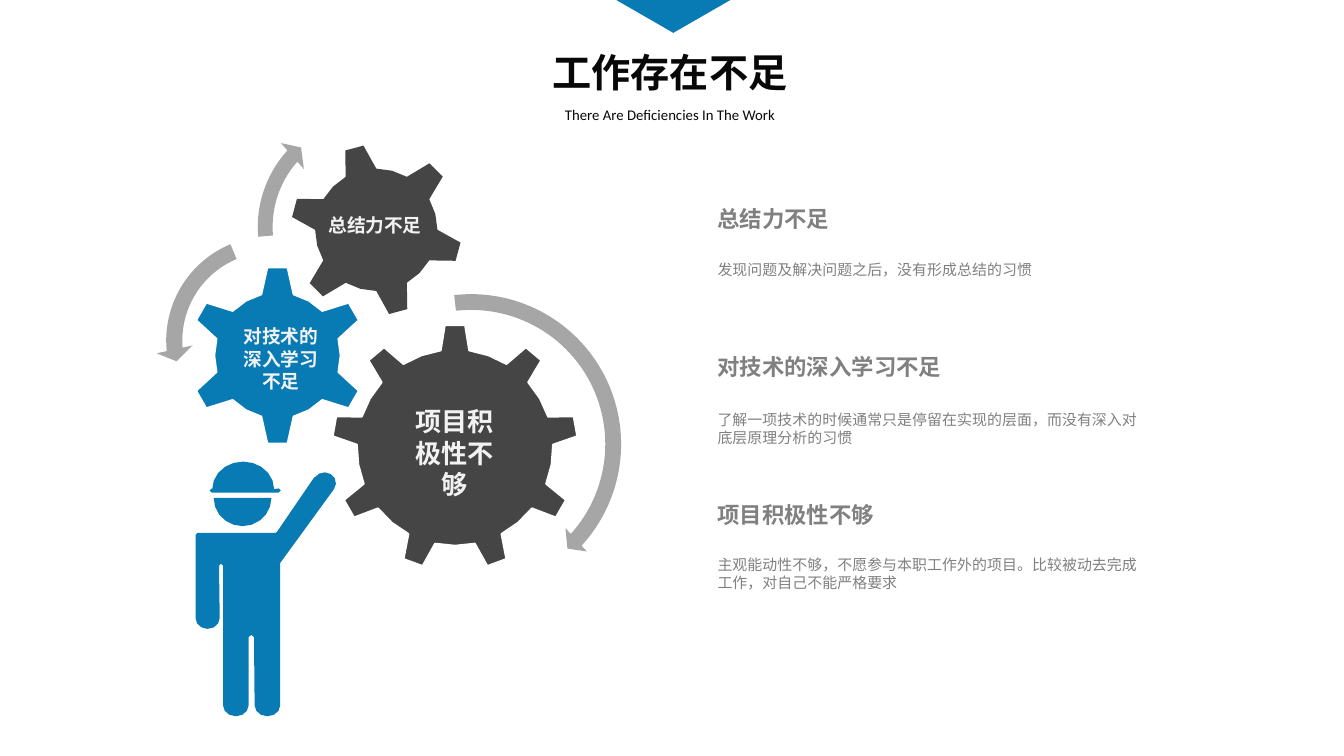
from math import cos, radians, sin

from lxml.etree import SubElement
from pptx import Presentation
from pptx.dml.color import RGBColor
from pptx.enum.shapes import MSO_SHAPE
from pptx.enum.text import MSO_AUTO_SIZE, PP_ALIGN
from pptx.oxml.ns import qn
from pptx.util import Emu, Pt

SCALE = 4572
BLUE = RGBColor(0x08, 0x7A, 0xB4)
DARK = RGBColor(0x45, 0x45, 0x45)
ARROW_GREY = RGBColor(0xA6, 0xA6, 0xA6)
TEXT_GREY = RGBColor(0x80, 0x80, 0x80)
PALE = RGBColor(0xF2, 0xF2, 0xF2)
BLACK = RGBColor(0x08, 0x08, 0x08)
WHITE = RGBColor(0xFF, 0xFF, 0xFF)
LATIN = "Calibri"
CHINESE = "Noto Sans CJK SC"


def px(value):
    return Emu(round(value * SCALE))


def arc(x, y, width, height, start, end, steps=6):
    angles = [radians(start + (end - start) * step / steps) for step in range(steps + 1)]
    return [(x + width * cos(angle), y + height * sin(angle)) for angle in angles]


class Page:
    def __init__(self, deck):
        self.shapes = deck.slides.add_slide(deck.slide_layouts[6]).shapes

    def paint(self, shape, fill, line=None):
        shape.shadow.inherit = False
        shape.fill.solid()
        shape.fill.fore_color.rgb = fill
        if line is None:
            shape.line.fill.background()
        else:
            shape.line.color.rgb = line
            shape.line.width = Pt(1)

    def outline(self, points, fill, line=None):
        corners = [(px(x), px(y)) for x, y in points]
        builder = self.shapes.build_freeform(*corners[0], scale=1.0)
        builder.add_line_segments(corners[1:], close=True)
        self.paint(builder.convert_to_shape(), fill, line)

    def gear(self, x, y, radius, tip_radius, tip, root, teeth, turn, fill, line=None):
        pitch = 360 / teeth
        points = []
        for tooth in range(teeth):
            angle = turn + tooth * pitch
            along = cos(radians(angle)), sin(radians(angle))
            for side in (-tip, tip):
                points.append((x + tip_radius * along[0] - side * along[1],
                               y + tip_radius * along[1] + side * along[0]))
            points += arc(x, y, radius, radius, angle + root, angle + pitch - root, 2)
        self.outline(points, fill, line)

    def arrow(self, kind, left, top, size, adjustments):
        shape = self.shapes.add_shape(kind, px(left), px(top), px(size), px(size))
        for index, value in enumerate(adjustments):
            shape.adjustments[index] = value
        self.paint(shape, ARROW_GREY)

    def text(self, place, lines, size, color, bold=False, font=CHINESE,
             align=PP_ALIGN.LEFT, wrap=True):
        box = self.shapes.add_textbox(*map(px, place))
        frame = box.text_frame
        frame.word_wrap = wrap
        frame.auto_size = MSO_AUTO_SIZE.SHAPE_TO_FIT_TEXT
        for index, line in enumerate(lines):
            para = frame.paragraphs[0] if index == 0 else frame.add_paragraph()
            para.alignment = align
            span = para.add_run()
            span.text = line
            span.font.name = font
            span.font.size = Pt(size)
            span.font.bold = bold
            span.font.color.rgb = color
            SubElement(span.font._element, qn("a:ea"), typeface=LATIN)


def draw_gears(page):
    page.arrow(MSO_SHAPE.CIRCULAR_ARROW, 369, 154, 368, (0.06, 3.94, 133.14, 105.08, 0.07))
    page.gear(677, 666, 146, 182, 15, 8.3, 9, -90, DARK, WHITE)
    page.gear(413, 529, 94, 131, 15, 14.8, 6, -90, BLUE, WHITE)
    page.gear(560, 342, 91, 126, 14, 15, 6, -105, DARK)
    page.arrow(MSO_SHAPE.CIRCULAR_ARROW, 466, 426, 470, (0.05, 2.99, 25.39, 158.12, 0.05))
    page.arrow(MSO_SHAPE.LEFT_CIRCULAR_ARROW, 232, 336, 342,
               (0.07, 4.3, 104.89, 148.38, 0.08))
    labels = [
        ((468, 308, 180, 54), ["总结力不足"], 10, False),
        ((342, 474, 152, 120), ["对技术的", "深入学习", "不足"], 10, False),
        ((581, 594, 192, 114), ["项目积", "极性不够"], 14, True),
    ]
    for place, lines, size, wrap in labels:
        page.text(place, lines, size, PALE, True, align=PP_ALIGN.CENTER, wrap=wrap)


def draw_worker(page):
    helmet = (arc(362, 728, 46, 41, 180, 360, 10)
              + arc(415, 730, 3, 3, -90, 90, 2) + arc(315, 730, 3, 3, 90, 270, 2))
    body = ([(291, 796), (294, 793), (410, 793), (412, 792), (468, 710)]
            + arc(483, 719, 17, 16, 210, 395)
            + [(417, 838)] + arc(398, 1050, 19, 16, 0, 180)
            + arc(374, 948, 4, 3, 360, 180, 2) + arc(351, 1050, 19, 16, 0, 180)
            + arc(329, 842, 3, 3, 360, 180, 2) + arc(309, 920, 18, 16, 0, 180))
    for points in (helmet, body, arc(361, 741, 43, 42, 0, 180, 10)):
        page.outline(points, BLUE)


def draw_points(page):
    points = [
        (295, 378, 208, "总结力不足", "发现问题及解决问题之后，没有形成总结的习惯"),
        (516, 602, 374, "对技术的深入学习不足",
         "了解一项技术的时候通常只是停留在实现的层面，而没有深入对底层原理分析的习惯"),
        (736, 817, 274, "项目积极性不够",
         "主观能动性不够，不愿参与本职工作外的项目。比较被动去完成工作，对自己不能严格要求"),
    ]
    for heading_top, detail_top, width, heading, detail in points:
        page.text((1048, heading_top, width, 60), [heading], 12, TEXT_GREY, True, wrap=False)
        page.text((1048, detail_top, 678, 46), [detail], 8, TEXT_GREY)


def main():
    deck = Presentation()
    deck.slide_width, deck.slide_height = px(2000), px(1125)
    page = Page(deck)
    draw_gears(page)
    draw_worker(page)
    draw_points(page)
    page.text((681, 62, 632, 90), ["工作存在不足"], 21, BLACK, True, LATIN, PP_ALIGN.CENTER)
    page.text((661, 148, 672, 46), ["There Are Deficiencies In The Work"], 7.9, BLACK,
              font=LATIN, align=PP_ALIGN.CENTER)
    page.outline([(917, 0), (1087, 0), (1002, 49)], BLUE)
    deck.save("out.pptx")


if __name__ == "__main__":
    main()
